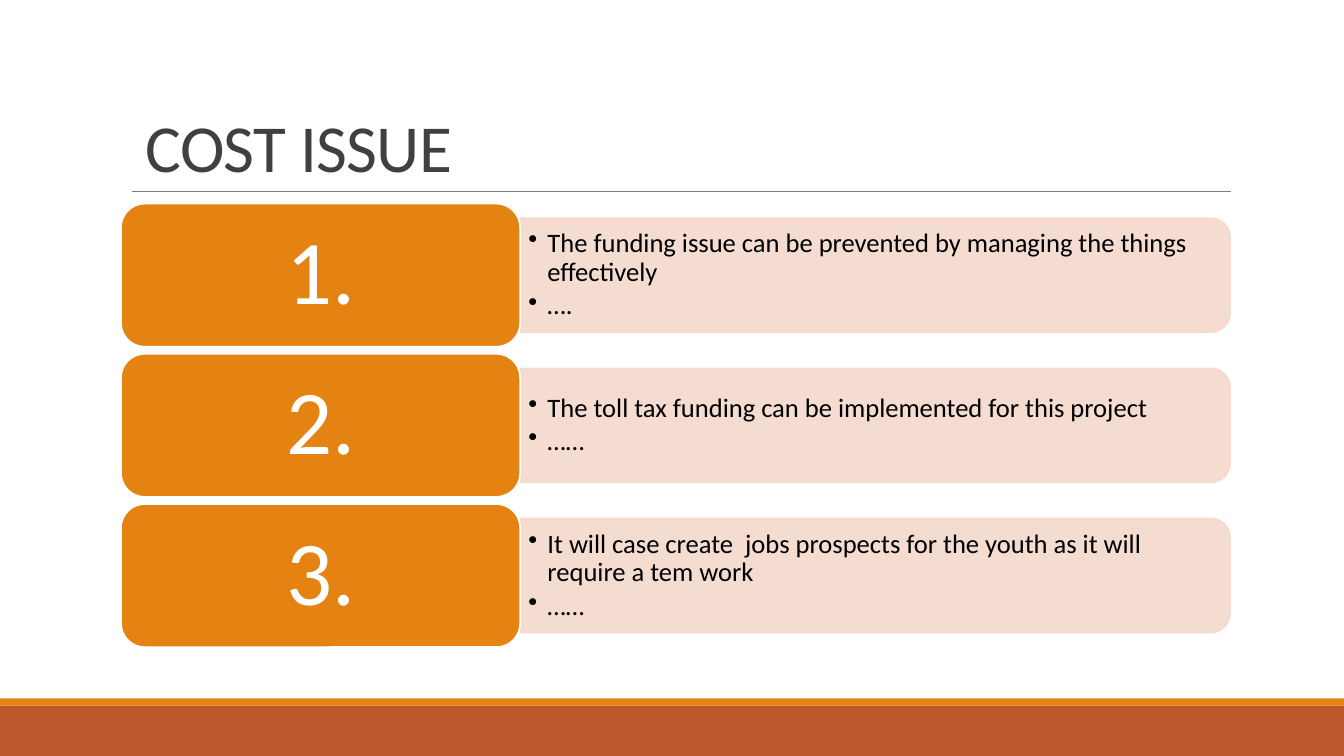
from lxml import etree
from pptx import Presentation
from pptx.dml.color import RGBColor
from pptx.enum.shapes import MSO_CONNECTOR, MSO_SHAPE
from pptx.enum.text import MSO_ANCHOR, PP_ALIGN
from pptx.oxml.ns import qn
from pptx.util import Inches, Pt

RECTANGLE = MSO_SHAPE.RECTANGLE
ROUNDED = MSO_SHAPE.ROUNDED_RECTANGLE
ROUNDED_TOP = MSO_SHAPE.ROUND_2_SAME_RECTANGLE
STRAIGHT = MSO_CONNECTOR.STRAIGHT
MIDDLE, BOTTOM = MSO_ANCHOR.MIDDLE, MSO_ANCHOR.BOTTOM
LEFT, CENTER = PP_ALIGN.LEFT, PP_ALIGN.CENTER

ORANGE = RGBColor(0xE4, 0x83, 0x12)
RUST = RGBColor(0xBD, 0x58, 0x2C)
BLUSH = RGBColor(0xF5, 0xD9, 0xCC)
GRAY = RGBColor(0x80, 0x80, 0x80)
CHARCOAL = RGBColor(0x40, 0x40, 0x40)
BLACK = RGBColor(0, 0, 0)
WHITE = RGBColor(0xFF, 0xFF, 0xFF)
FONT = "Calibri"

# Content
TITLE = " COST ISSUE "
ISSUES = [
    ("1.", ["The funding issue can be prevented by managing the things  effectively", "…."]),
    ("2.", ["The toll tax funding can be implemented for this project", "……"]),
    ("3.", ["It will case create  jobs prospects for the youth as it will require a tem work",
            "……"]),
]
BANDS = [(7, 0.5, RUST), (6.93, 0.07, ORANGE)]  # top, height, colour

# Layout in inches
SLIDE_WIDTH = 13.33
ROWS_TOP, ROW_PITCH = 2.02, 1.49
BADGE_LEFT, BADGE_WIDTH, BADGE_HEIGHT = 1.2, 3.96, 1.42
PANEL_LEFT, PANEL_WIDTH, PANEL_HEIGHT = BADGE_LEFT + BADGE_WIDTH, 7.04, 1.13
POINTS_WIDTH, POINTS_HEIGHT = 6.98, 1.02


def add_filled(kind, left, top, width, height, color, edge=None):
    shape = slide.shapes.add_shape(
        kind, Inches(left), Inches(top), Inches(width), Inches(height))
    shape.shadow.inherit = False
    shape.fill.solid()
    shape.fill.fore_color.rgb = color
    if edge is None:
        shape.line.fill.background()
    else:
        shape.line.color.rgb = edge
        shape.line.width = Pt(1.25)
    return shape


def set_frame(frame, anchor, side, end):
    frame.word_wrap = True
    frame.vertical_anchor = anchor
    frame.margin_left = frame.margin_right = Inches(side)
    frame.margin_top = frame.margin_bottom = Inches(end)


def style(paragraph, size, color, align, spacing):
    paragraph.font.name = FONT
    paragraph.font.size = Pt(size)
    paragraph.font.color.rgb = color
    paragraph.alignment = align
    paragraph.line_spacing = spacing


def add_bullet(paragraph):
    properties = paragraph._p.get_or_add_pPr()
    properties.set("marL", str(Inches(0.19)))
    properties.set("indent", str(-Inches(0.19)))
    bullet = etree.Element(qn("a:buChar"), char="•")
    properties.find(qn("a:defRPr")).addprevious(bullet)


def add_panel(middle):
    # Turned a quarter so that the rounded corners face right
    panel = add_filled(ROUNDED_TOP, PANEL_LEFT + (PANEL_WIDTH - PANEL_HEIGHT) / 2,
                       middle - PANEL_WIDTH / 2, PANEL_HEIGHT, PANEL_WIDTH, BLUSH, BLUSH)
    panel.rotation = 90
    for color in panel._element.spPr.iter(qn("a:srgbClr")):
        etree.SubElement(color, qn("a:alpha"), val="90000")


def add_points(points, middle):
    frame = slide.shapes.add_textbox(
        Inches(PANEL_LEFT), Inches(middle - POINTS_HEIGHT / 2),
        Inches(POINTS_WIDTH), Inches(POINTS_HEIGHT)).text_frame
    set_frame(frame, MIDDLE, 0.08, 0.04)
    frame.text = "\n".join(points)
    for paragraph in frame.paragraphs:
        style(paragraph, 19, BLACK, LEFT, 0.9)
        paragraph.space_after = Pt(3.5)
        add_bullet(paragraph)


def add_badge(number, top):
    badge = add_filled(ROUNDED, BADGE_LEFT, top, BADGE_WIDTH, BADGE_HEIGHT, ORANGE, WHITE)
    set_frame(badge.text_frame, MIDDLE, 0.27, 0.14)
    badge.text_frame.text = number
    style(badge.text_frame.paragraphs[0], 65, WHITE, CENTER, 0.9)


prs = Presentation()
prs.slide_width, prs.slide_height = Inches(SLIDE_WIDTH), Inches(7.5)
slide = prs.slides.add_slide(prs.slide_layouts[5])

# Footer bands and title rule
for top, height, color in BANDS:
    add_filled(RECTANGLE, 0, top, SLIDE_WIDTH, height, color)
rule = slide.shapes.add_connector(
    STRAIGHT, Inches(1.31), Inches(1.9), Inches(12.21), Inches(1.9))
rule.line.color.rgb = GRAY
rule.line.width = Pt(0.5)
etree.SubElement(rule._element.spPr, qn("a:effectLst"))

# Title
title = slide.shapes.title
title.left, title.top = Inches(1.2), Inches(0.31)
title.width, title.height = Inches(11), Inches(1.59)
set_frame(title.text_frame, BOTTOM, 0.1, 0.05)
title.text_frame.text = TITLE
heading = title.text_frame.paragraphs[0]
style(heading, 48, CHARCOAL, LEFT, 0.85)
heading.runs[0].font._element.set("spc", "-50")

# Numbered issues
for row, (number, points) in enumerate(ISSUES):
    top = ROWS_TOP + row * ROW_PITCH
    middle = top + BADGE_HEIGHT / 2
    add_panel(middle)
    add_points(points, middle)
    add_badge(number, top)

prs.save("out.pptx")
